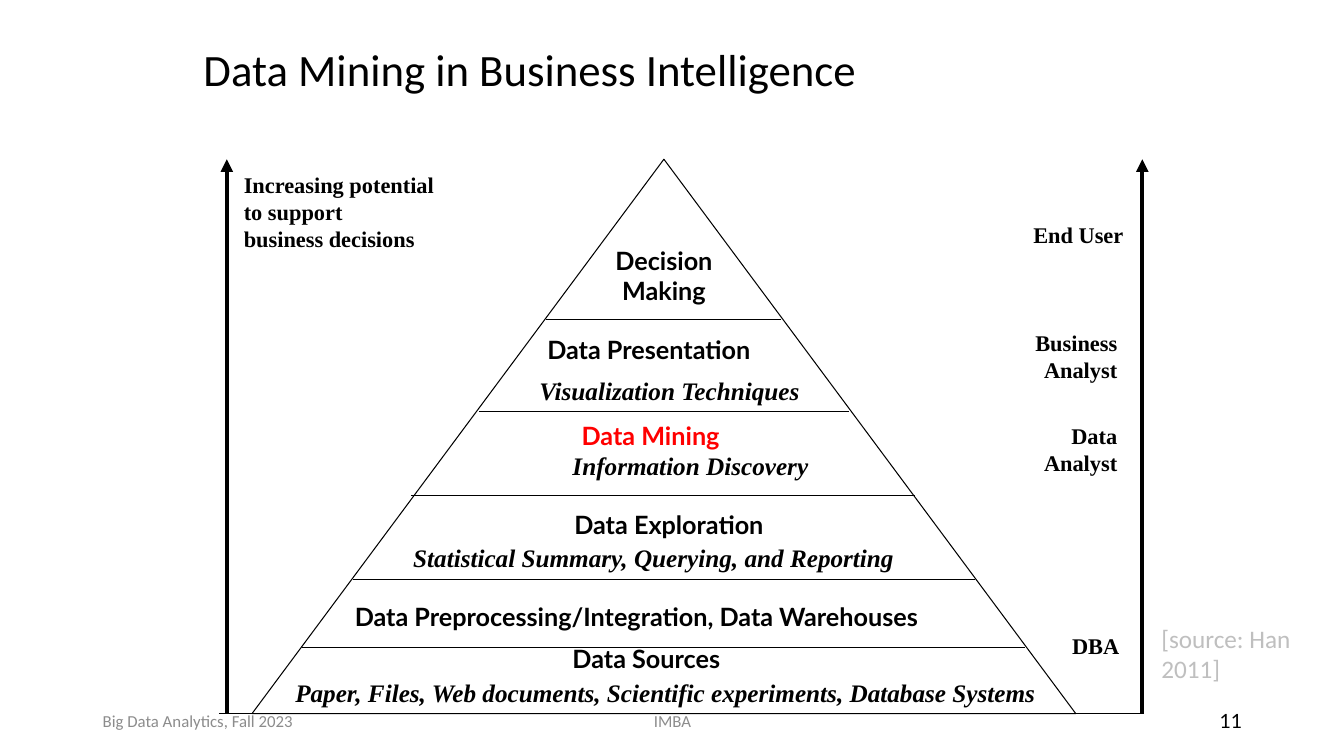
import pptx
import pptx.util
import pptx.dml.color
import pptx.enum.shapes
import pptx.enum.text
import pptx.oxml

Inches = pptx.util.Inches
Pt = pptx.util.Pt
RGBColor = pptx.dml.color.RGBColor
ALIGN = pptx.enum.text.PP_ALIGN
ANCHOR = pptx.enum.text.MSO_ANCHOR

BLACK = RGBColor(0x00, 0x00, 0x00)
RED = RGBColor(0xFF, 0x00, 0x00)
SILVER = RGBColor(0xBF, 0xBF, 0xBF)
GRAY = RGBColor(0x8C, 0x8C, 0x8C)

LEVEL = dict(name="Lato", size=Pt(18), bold=True)
METHOD = dict(name="Times New Roman", size=Pt(18), bold=True, italic=True)
ROLE = dict(name="Times New Roman", size=Pt(16), bold=True)
TITLE = dict(name="Calibri", size=Pt(32))
SOURCE = dict(name="Calibri", size=Pt(18))
FOOTER = dict(name="Calibri", size=Pt(12))
NUMBER = dict(name="Lato", size=Pt(14))

TITLE_TEXT = "Data Mining in Business Intelligence"
LEVELS = [
    ("Decision Making", 5.92, 2.38, 1.33, ALIGN.CENTER, BLACK),
    ("Data Presentation", 5.33, 3.27, 2.47, ALIGN.LEFT, BLACK),
    ("Data Mining", 5.67, 4.12, 1.95, ALIGN.LEFT, RED),
    ("Data Exploration", 5.35, 5, 2.57, ALIGN.CENTER, BLACK),
    ("Data Preprocessing/Integration, Data Warehouses", 3.42, 5.92, 6.59, ALIGN.LEFT, BLACK),
    ("Data Sources", 5.58, 6.33, 1.86, ALIGN.LEFT, BLACK),
]
METHODS = [
    ("Visualization Techniques", 5.25, 3.67, 2.82),
    ("Information Discovery", 5.58, 4.42, 2.7),
    ("Statistical Summary, Querying, and Reporting", 4, 5.33, 5),
    ("Paper, Files, Web documents, Scientific experiments, Database Systems", 2.83, 6.67, 7.78),
]
ROLES = [
    ("End User", 11.24, 2.14, 1.1, 0.37),
    ("Business\nAnalyst", 11.18, 3.22, 1.04, 0.64),
    ("Data\nAnalyst", 11.18, 4.14, 0.94, 0.64),
    ("DBA", 11.2, 6.22, 0.67, 0.37),
]
FOOTERS = [
    ("Big Data Analytics, Fall 2023", 0.92, 3, ALIGN.LEFT, FOOTER, GRAY),
    ("IMBA", 4.42, 4.5, ALIGN.CENTER, FOOTER, GRAY),
    ("11", 9.42, 3, ALIGN.RIGHT, NUMBER, BLACK),
]
DIVIDERS = [(3, 10.17, 6.42), (3.5, 9.67, 5.75), (4.08, 9.08, 4.92),
            (4.75, 8.42, 4.08), (5.42, 7.75, 3.17)]
TOP, BASE = 1.58, 7.08
ARROWS = (2.25, 11.33)

prs = pptx.Presentation()
prs.slide_width, prs.slide_height = Inches(13.33), Inches(7.5)
slide = prs.slides.add_slide(prs.slide_layouts[6])


def add_text(text, x, y, w, h, style, color=BLACK, align=ALIGN.LEFT,
             anchor=ANCHOR.TOP, wrap=True, spacing=None):
    sp = slide.shapes.add_textbox(Inches(x), Inches(y), Inches(w), Inches(h))
    tf = sp.text_frame
    tf.word_wrap = wrap
    tf.vertical_anchor = anchor
    for i, line in enumerate(text.split("\n")):
        p = tf.add_paragraph() if i else tf.paragraphs[0]
        p.alignment = align
        p.line_spacing = spacing
        r = p.add_run()
        r.text = line
        for key, value in style.items():
            setattr(r.font, key, value)
        r.font.color.rgb = color


def add_line(x1, y1, x2, y2, width=0.75, arrow=False):
    sp = slide.shapes.add_connector(
        pptx.enum.shapes.MSO_CONNECTOR.STRAIGHT,
        Inches(x1), Inches(y1), Inches(x2), Inches(y2))
    sp.line.color.rgb = BLACK
    sp.line.width = Pt(width)
    if arrow:
        ln = sp.line._get_or_add_ln()
        ln.append(pptx.oxml.parse_xml(
            '<a:tailEnd xmlns:a="http://schemas.openxmlformats.org/drawingml/2006/main" type="triangle"/>'))
    sp._element.spPr.append(pptx.oxml.parse_xml(
        '<a:effectLst xmlns:a="http://schemas.openxmlformats.org/drawingml/2006/main"/>'))


add_text(TITLE_TEXT, 1.92, 0.42, 9.5, 0.58, TITLE, anchor=ANCHOR.MIDDLE, spacing=0.9)

pyramid = slide.shapes.add_shape(
    pptx.enum.shapes.MSO_SHAPE.FLOWCHART_EXTRACT,
    Inches(2.5), Inches(TOP), Inches(8.17), Inches(BASE - TOP))
pyramid.shadow.inherit = False
pyramid.fill.background()
pyramid.line.color.rgb = BLACK
pyramid.line.width = Pt(0.75)

for left, right, y in DIVIDERS:
    add_line(left, y, right, y)
for x in ARROWS:
    add_line(x, BASE, x, TOP, 3, True)
add_line(2.17, BASE, ARROWS[1], BASE)

add_text("Increasing potential\nto support\nbusiness decisions",
         2.32, 1.65, 2.1, 0.9, ROLE, wrap=False)
for text, right, y, w, h in ROLES:
    add_text(text, right - w, y, w, h, ROLE, align=ALIGN.RIGHT, wrap=False)
for text, x, y, w, align, color in LEVELS:
    add_text(text, x, y, w, 0.4, LEVEL, color, align)
for text, x, y, w in METHODS:
    add_text(text, x, y, w, 0.4, METHOD)
add_text("[source: Han 2011]", 11.42, 6.13, 1.67, 0.71, SOURCE, SILVER)
for text, x, w, align, style, color in FOOTERS:
    add_text(text, x, 6.95, w, 0.4, style, color, align, ANCHOR.MIDDLE)

prs.save("out.pptx")
